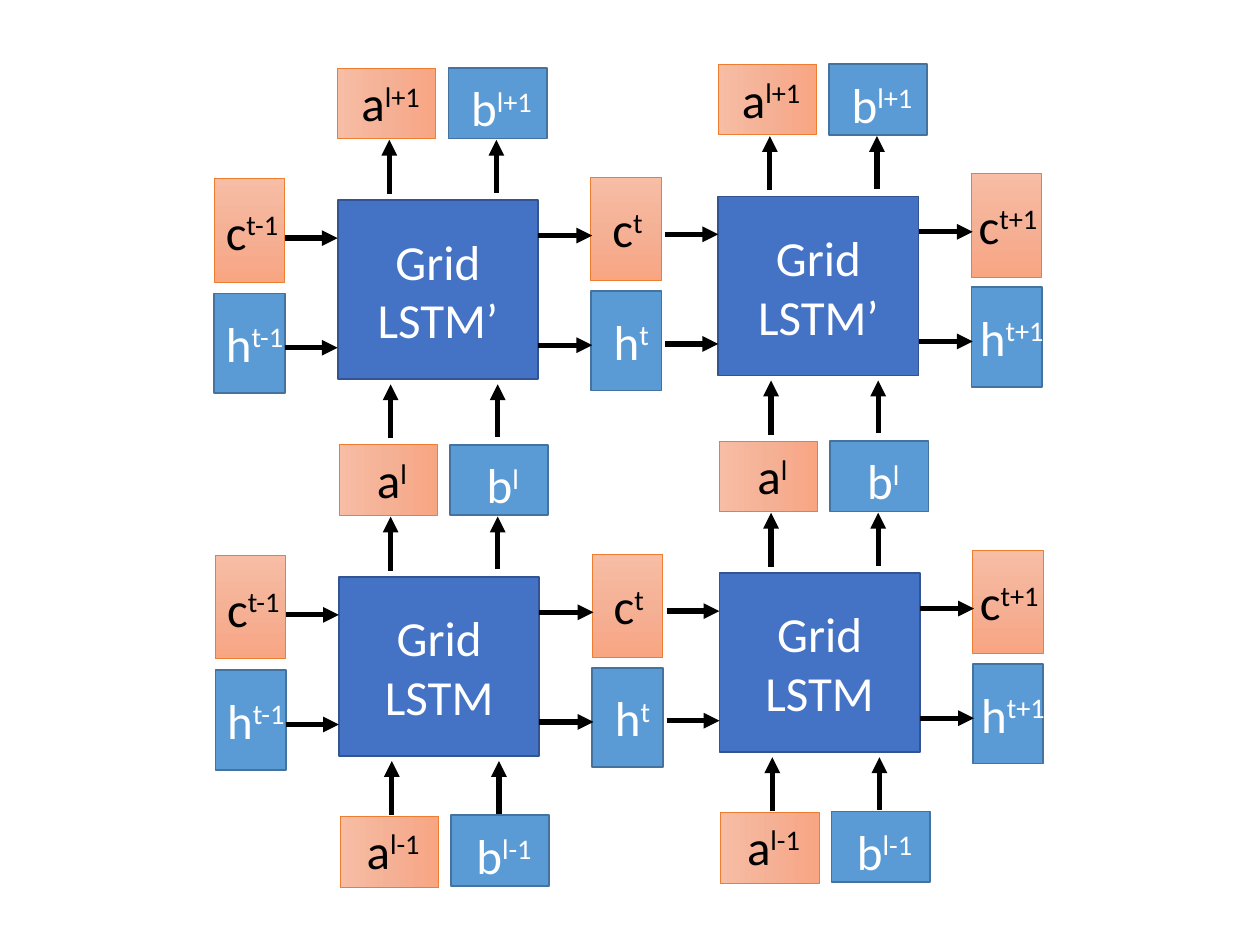
from copy import deepcopy

from lxml.etree import SubElement
from pptx import Presentation
from pptx.dml.color import RGBColor
from pptx.enum.shapes import MSO_CONNECTOR, MSO_SHAPE
from pptx.enum.text import MSO_ANCHOR, MSO_AUTO_SIZE, PP_ALIGN
from pptx.oxml.ns import qn
from pptx.util import Emu, Pt

SCALE = 9144
SLIDE_SIZE = (1000, 750)
BLOCK_SIZE = (159, 142)
LABEL_HEIGHT = 57

THEME = {
    "font": {"name": "Calibri", "size": Pt(28)},
    "superscript": "30000",
    "arrow": {"color": "000000", "width": 3},
    "block": {"fill": "4472C4", "line": "325491", "width": 1, "text": "FFFFFF"},
    "cell": {"fill": ("F7BDA5", "F5B196", "F8A582"), "line": "ED7D31", "width": 0.5, "text": "000000"},
    "hidden": {"fill": "5B9BD5", "line": "43739E", "width": 1, "text": "FFFFFF"},
}

STATES = {
    "c": {"style": "cell", "size": (56, 82), "rotation": 0, "extra": 0},
    "h": {"style": "hidden", "size": (56, 79), "rotation": 0, "extra": 4},
    "a": {"style": "cell", "size": (56, 78), "rotation": 270, "extra": 0},
    "b": {"style": "hidden", "size": (56, 78), "rotation": 270, "extra": 2},
}
LABEL_WIDTHS = {"t-1": 67, "t": 46, "t+1": 72, "l": 45, "l-1": 66, "l+1": 71}

# side: letter, box corner, label centre and top, all measured from the block corner
PORTS = {
    "left": [("c", (-98, -17), (-68, -4)), ("h", (-98, 74), (-66, 85))],
    "right": [("c", (201, -18), (230, -6)), ("h", (201, 72), (233, 83))],
    "above": [("a", (11, -116), (42, -106)), ("b", (99, -116), (130, -102))],
    "below": [("a", (12, 179), (43, 188)), ("b", (100, 178), (131, 192))],
}
ARROWS = [
    ((-42, 30), (0, 30)), ((-42, 117), (0, 117)),
    ((159, 28), (202, 28)), ((159, 115), (202, 115)),
    ((41, -5), (41, -48)), ((126, -6), (126, -48)),
    ((42, 189), (42, 146)), ((127, 188), (127, 146)),
]
BLOCKS = [
    {"at": (269, 458), "name": "LSTM", "states": {"left": "t-1", "right": "t", "above": "l", "below": "l-1"}},
    {"at": (571, 455), "name": "LSTM", "states": {"right": "t+1", "above": "l", "below": "l-1"}},
    {"at": (268, 159), "name": "LSTM’", "states": {"left": "t-1", "right": "t", "above": "l+1"}},
    {"at": (570, 156), "name": "LSTM’", "states": {"right": "t+1", "above": "l+1"}},
]


def px(*lengths):
    return [Emu(round(length * SCALE)) for length in lengths]


def shift(origin, offset):
    return origin[0] + offset[0], origin[1] + offset[1]


def apply(target, values):
    for name, value in values.items():
        setattr(target, name, value)


def paint(box, fill):
    if isinstance(fill, str):
        box.fill.solid()
        box.fill.fore_color.rgb = RGBColor.from_string(fill)
        return
    box.fill.gradient()
    box.fill.gradient_angle = 270
    stop_list = box.element.spPr.find(qn("a:gradFill")).find(qn("a:gsLst"))
    stop_list.insert(1, deepcopy(stop_list[0]))
    for index, (stop, color) in enumerate(zip(box.fill.gradient_stops, fill)):
        stop.position = index / 2
        stop.color.rgb = RGBColor.from_string(color)


def add_box(page, corner, size, style, rotation=0):
    box = page.shapes.add_shape(MSO_SHAPE.RECTANGLE, *px(*corner, *size))
    box.shadow.inherit = False
    box.rotation = rotation
    paint(box, style["fill"])
    box.line.color.rgb = RGBColor.from_string(style["line"])
    box.line.width = Pt(style["width"])
    return box


def add_span(para, text, color):
    para.alignment = PP_ALIGN.CENTER
    span = para.add_run()
    span.text = text
    apply(span.font, THEME["font"])
    span.font.color.rgb = RGBColor.from_string(color)
    return span


def add_block(page, corner, name):
    style = THEME["block"]
    frame = add_box(page, corner, BLOCK_SIZE, style).text_frame
    apply(frame, {"vertical_anchor": MSO_ANCHOR.MIDDLE, "word_wrap": True})
    add_span(frame.paragraphs[0], "Grid", style["text"])
    add_span(frame.add_paragraph(), name, style["text"])


def add_state(page, origin, port, exponent):
    letter, corner, label = port
    state = STATES[letter]
    style = THEME[state["style"]]
    add_box(page, shift(origin, corner), state["size"], style, state["rotation"])
    width = LABEL_WIDTHS[exponent] + state["extra"]
    center, top = shift(origin, label)
    box = page.shapes.add_textbox(*px(center - width / 2, top, width, LABEL_HEIGHT))
    apply(box.text_frame, {"word_wrap": False, "auto_size": MSO_AUTO_SIZE.SHAPE_TO_FIT_TEXT})
    para = box.text_frame.paragraphs[0]
    add_span(para, letter, style["text"])
    power = add_span(para, exponent, style["text"])
    power._r.get_or_add_rPr().set("baseline", THEME["superscript"])


def add_arrow(page, start, end):
    arrow = page.shapes.add_connector(MSO_CONNECTOR.STRAIGHT, *px(*start, *end))
    arrow.line.color.rgb = RGBColor.from_string(THEME["arrow"]["color"])
    arrow.line.width = Pt(THEME["arrow"]["width"])
    properties = arrow.element.spPr
    SubElement(properties.find(qn("a:ln")), qn("a:tailEnd"), type="triangle")
    SubElement(properties, qn("a:effectLst"))


def main():
    deck = Presentation()
    deck.slide_width, deck.slide_height = px(*SLIDE_SIZE)
    page = deck.slides.add_slide(deck.slide_layouts[6])
    for block in BLOCKS:
        origin = block["at"]
        add_block(page, origin, block["name"])
        for side, exponent in block["states"].items():
            for port in PORTS[side]:
                add_state(page, origin, port, exponent)
        for start, end in ARROWS:
            add_arrow(page, shift(origin, start), shift(origin, end))
    deck.save("out.pptx")


if __name__ == "__main__":
    main()
